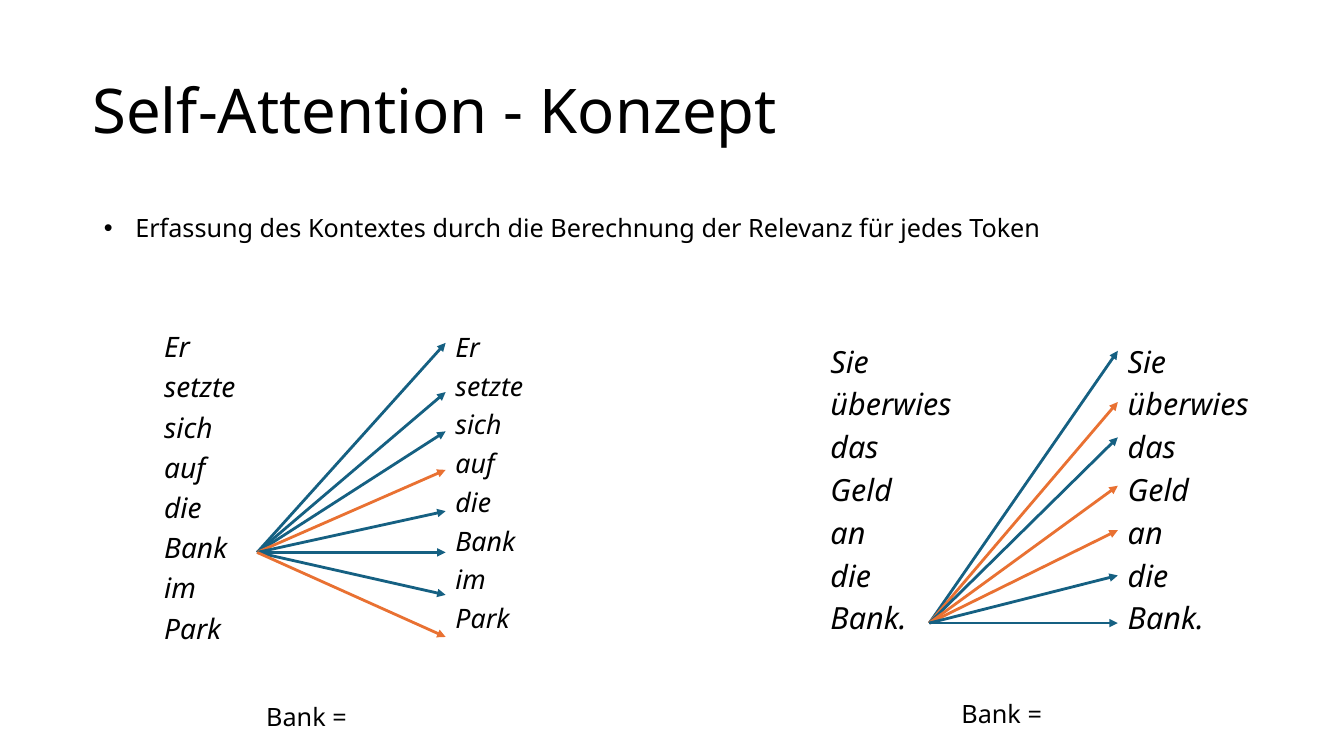
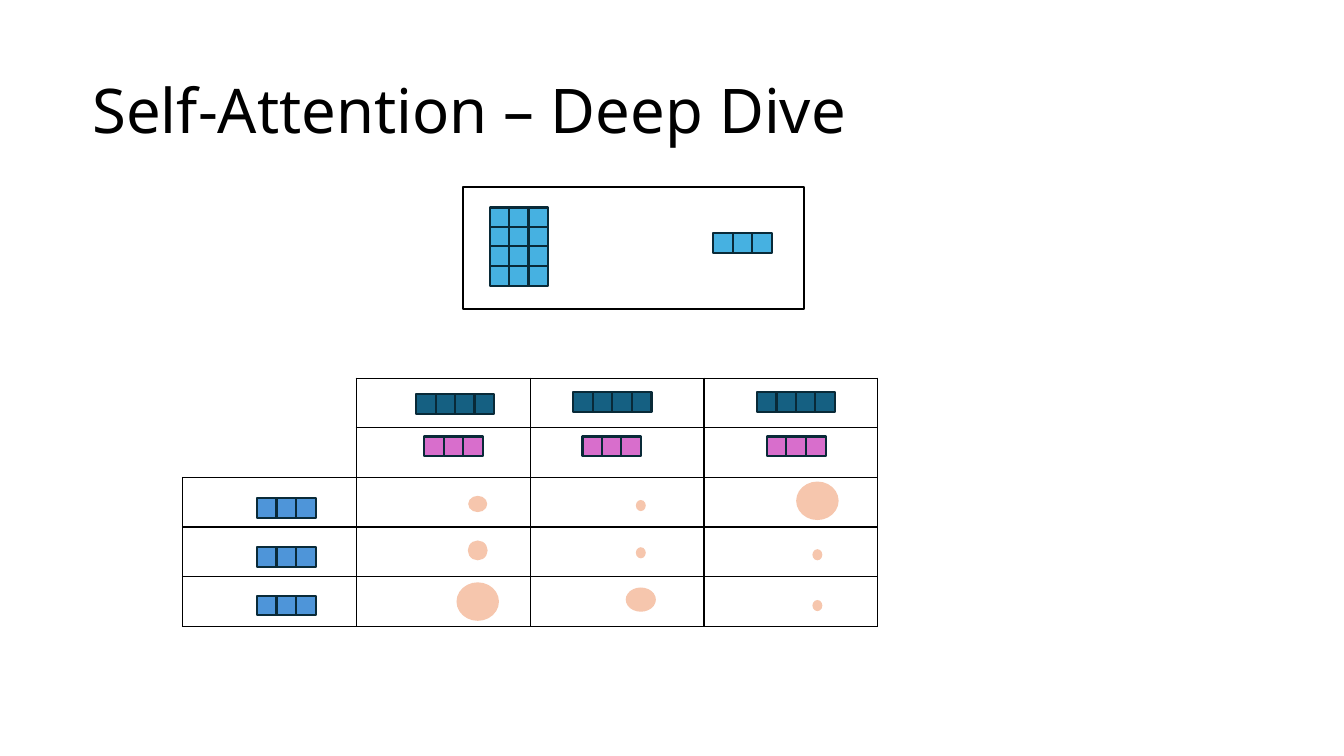
import pptx
import pptx.dml.color
import pptx.enum.shapes
import pptx.enum.text
import pptx.oxml
import pptx.oxml.ns
import pptx.util
from lxml import etree

Cm, Pt = pptx.util.Cm, pptx.util.Pt
SHAPE = pptx.enum.shapes.MSO_SHAPE
ANCHOR = pptx.enum.text.MSO_ANCHOR
qn = pptx.oxml.ns.qn

FONT = "Noto Sans"
COLORS = {
    "text": "000000", "teal": "156082", "orange": "E97132", "pink": "D86ECC",
    "blue": "4E95D9", "sky": "46B1E1", "edge": "092A38", "dot": "F6C6AD",
}

# All lengths are centimetres.
TITLE_BOX = (2.33, 1.01, 29.21, 3.68)
CONCEPT_TITLE = "Self-Attention - Konzept"
CONCEPT_POINT = "Erfassung des Kontextes durch die Berechnung der Relevanz für jedes Token"
SENTENCES = [
    {
        "words": ["Er", "setzte", "sich", "auf", "die", "Bank", "im", "Park"],
        "relevant": {"auf", "Park"},
        "columns": [(4.14, 8.4, 20.1), (11.48, 8.43, 19.1)],  # left, top, size
        "start": (6.48, 13.92), "end_x": 11.23,
        "end_y": [8.64, 9.88, 10.87, 11.84, 12.88, 13.92, 14.99, 16.05],
        "result": (6.71, 17.68),
    },
    {
        "words": ["Sie", "überwies", "das", "Geld", "an", "die", "Bank."],
        "relevant": {"überwies", "Geld", "an"},
        "columns": [(20.93, 8.74, 21.8), (28.42, 8.74, 21.8)],
        "start": (23.42, 15.7), "end_x": 28.17,
        "end_y": [8.84, 10.13, 11.02, 12.24, 13.36, 14.5, 15.7],
        "result": (24.23, 17.6),
    },
]

DEEP_TITLE = "Self-Attention – Deep Dive"
FRAME = (11.68, 4.72, 8.59, 3.07)
TABLE_AT = (4.6, 9.53)
ROWS, COLS = 5, 4
COL_W, ROW_H = 4.38, 1.25
HEADER_ROWS = 2
CELL, PITCH = 0.5, 0.49
VECTORS = [  # colour, columns, rows, positions
    ("teal", 4, 1, [(10.49, 9.93), (14.45, 9.88), (19.08, 9.88)]),
    ("pink", 3, 1, [(10.69, 11), (14.68, 11), (19.33, 11)]),
    ("blue", 3, 1, [(6.48, 12.55), (6.48, 13.79), (6.48, 15.01)]),
    ("sky", 3, 4, [(12.34, 5.23)]),
    ("sky", 3, 1, [(17.98, 5.87)]),
]
DOT_X = [12.04, 16.15, 20.6]
TINY, BIG = (0.25, 0.28), (1.07, 0.97)
DOTS = [  # per table row: (centre y, size)
    [(12.7, (0.48, 0.41)), (12.74, TINY), (12.62, BIG)],
    [(13.87, (0.5, 0.5)), (13.93, TINY), (13.98, TINY)],
    [(15.16, BIG), (15.11, (0.76, 0.61)), (15.26, TINY)],
]


def rgb(name):
    return pptx.dml.color.RGBColor.from_string(COLORS[name])


def add_text(s, box, lines, size, italic=False, spacing=1.0, after=0, wrap=False):
    tf = s.shapes.add_textbox(*map(Cm, box)).text_frame
    tf.word_wrap = wrap
    tf.margin_left = tf.margin_right = tf.margin_top = tf.margin_bottom = 0
    for i, line in enumerate(lines):
        p = tf.paragraphs[0] if i == 0 else tf.add_paragraph()
        p.text = line
        p.line_spacing = spacing
        p.space_after = Pt(after)
        p.font.name, p.font.size, p.font.italic = FONT, Pt(size), italic
        p.font.color.rgb = rgb("text")
    return tf


def add_bullet(p, indent):
    pPr = p._p.get_or_add_pPr()
    pPr.set("marL", str(Cm(indent)))
    pPr.set("indent", str(-Cm(indent)))
    bullet = etree.Element(qn("a:buChar"), char="•")
    font = etree.Element(qn("a:buFont"), typeface="Arial")
    pPr.find(qn("a:defRPr")).addprevious(font)
    font.addnext(bullet)


def add_arrow(s, start, end, color):
    sp = s.shapes.add_connector(
        pptx.enum.shapes.MSO_CONNECTOR.STRAIGHT, *map(Cm, (*start, *end)))
    sp.line.color.rgb = rgb(color)
    sp.line.width = 0
    etree.SubElement(sp.line._get_or_add_ln(), qn("a:tailEnd"), type="triangle")
    etree.SubElement(sp._element.spPr, qn("a:effectLst"))


def add_figure(shapes, kind, box, fill=None, line=None):
    sp = shapes.add_shape(kind, *map(Cm, box))
    sp.shadow.inherit = False
    if fill:
        sp.fill.solid()
        sp.fill.fore_color.rgb = rgb(fill)
    else:
        sp.fill.background()
    if line:
        sp.line.color.rgb = rgb(line)
        sp.line.width = Pt(1.5)
    else:
        sp.line.fill.background()


def add_vector(s, left, top, cols, rows, color):
    """Draw a vector or matrix as one group of small squares."""
    group = s.shapes.add_group_shape()
    for row in range(rows):
        for col in range(cols):
            box = (left + col * PITCH, top + row * PITCH, CELL, CELL)
            add_figure(group.shapes, SHAPE.RECTANGLE, box, color, "edge")


def set_borders(cell, visible):
    """Draw the sides named in visible (L, R, T, B) and clear the others."""
    tcPr = cell._tc.get_or_add_tcPr()
    for side in "LRTB":
        ln = etree.SubElement(tcPr, qn("a:ln" + side), w=str(Pt(0.96)))
        if side in visible:
            fill = etree.SubElement(ln, qn("a:solidFill"))
            etree.SubElement(fill, qn("a:srgbClr"), val=COLORS["text"])
        else:
            etree.SubElement(ln, qn("a:noFill"))


def add_score_table(s):
    size = (COLS * COL_W, ROWS * ROW_H)
    table = s.shapes.add_table(ROWS, COLS, *map(Cm, TABLE_AT + size)).table
    table.first_row = table.horz_banding = False
    for row in range(ROWS):
        for col in range(COLS):
            sides = "LRTB"
            if col == 0 and row < HEADER_ROWS:
                sides = "RB" if row == HEADER_ROWS - 1 else "R"
            cell = table.cell(row, col)
            set_borders(cell, sides)
            cell.fill.background()


def add_slide(prs, title):
    s = prs.slides.add_slide(prs.slide_layouts[6])
    tf = add_text(s, TITLE_BOX, [title], 44, spacing=0.9, wrap=True)
    tf.vertical_anchor = ANCHOR.MIDDLE
    return s


def build_concept(prs):
    s = add_slide(prs, CONCEPT_TITLE)
    tf = add_text(s, (2.62, 5.36, 23.62, 0.76), [CONCEPT_POINT], 18)
    add_bullet(tf.paragraphs[0], 0.79)
    for sentence in SENTENCES:
        words = sentence["words"]
        for left, top, size in sentence["columns"]:
            add_text(s, (left, top, 4, 8.5), words, size,
                     italic=True, spacing=0.9, after=7)
        for word, y in zip(words, sentence["end_y"]):
            color = "orange" if word in sentence["relevant"] else "teal"
            add_arrow(s, sentence["start"], (sentence["end_x"], y), color)
        add_text(s, (*sentence["result"], 2.2, 0.76), ["Bank ="], 18)


def build_deep_dive(prs):
    s = add_slide(prs, DEEP_TITLE)
    add_score_table(s)
    add_figure(s.shapes, SHAPE.RECTANGLE, FRAME, line="text")
    for color, cols, rows, positions in VECTORS:
        for left, top in positions:
            add_vector(s, left, top, cols, rows, color)
    for row in DOTS:
        for x, (y, (w, h)) in zip(DOT_X, row):
            add_figure(s.shapes, SHAPE.OVAL, (x - w / 2, y - h / 2, w, h), "dot")


def main():
    prs = pptx.Presentation()
    prs.slide_width, prs.slide_height = Cm(33.87), Cm(19.05)
    build_concept(prs)
    build_deep_dive(prs)
    prs.save("out.pptx")


if __name__ == "__main__":
    main()
